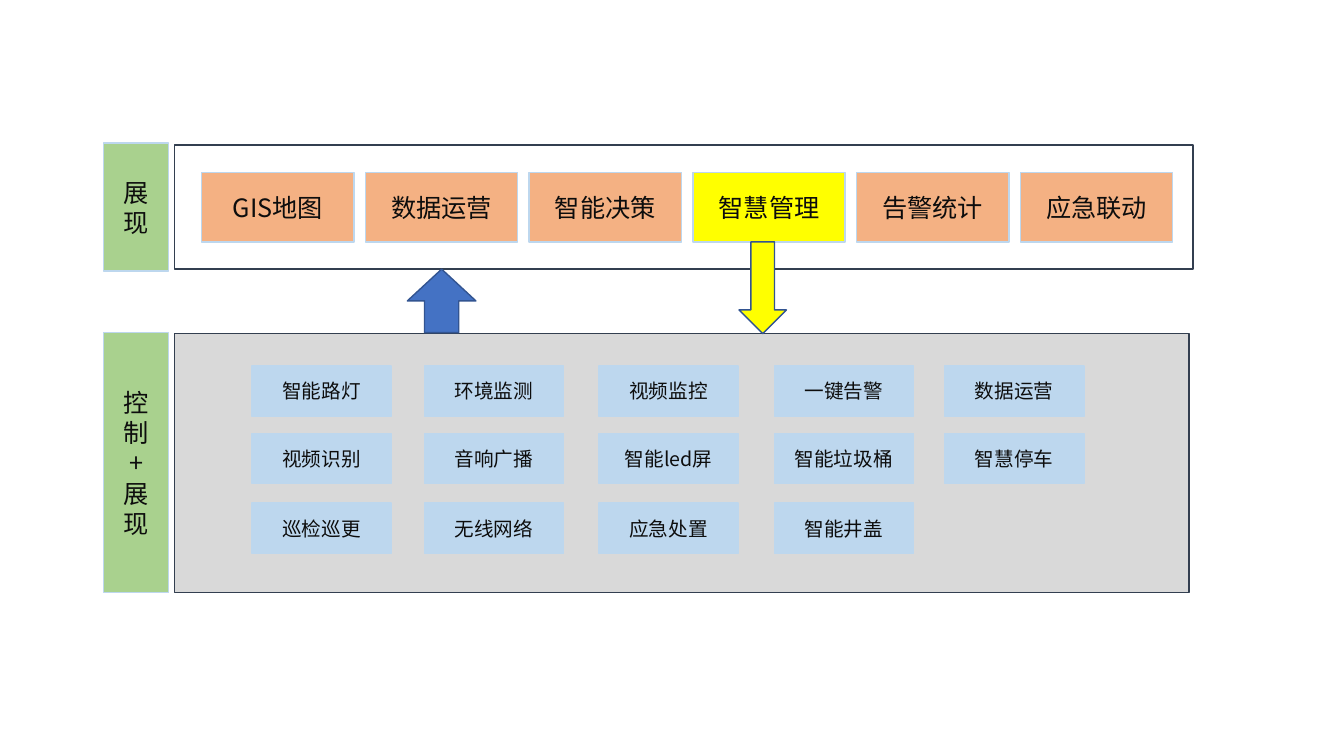
from pptx import Presentation
from pptx.dml.color import RGBColor
from pptx.enum.shapes import MSO_SHAPE
from pptx.enum.text import MSO_ANCHOR, PP_ALIGN
from pptx.oxml.ns import qn
from pptx.util import Inches, Pt
from lxml import etree

COLORS = {
    "white": "FFFFFF", "text": "0D0D0D", "frame": "333F50", "gray": "D9D9D9",
    "orange": "F4B183", "yellow": "FFFF00", "light_blue": "BDD7EE",
    "green": "A9D18E", "blue": "4472C4", "arrow_edge": "325491",
}


class Diagram:
    font = "Noto Sans CJK SC"

    def __init__(self, slide):
        self.slide = slide

    def shape(self, kind, box, fill, line, weight=1):
        shape = self.slide.shapes.add_shape(kind, *map(Inches, box))
        shape.shadow.inherit = False
        shape.fill.solid()
        shape.fill.fore_color.rgb = RGBColor.from_string(COLORS[fill])
        shape.line.color.rgb = RGBColor.from_string(COLORS[line])
        shape.line.width = Pt(weight)
        return shape

    def panel(self, box, fill):
        self.shape(MSO_SHAPE.RECTANGLE, box, fill, "frame", 1.25)

    def label(self, box, text, fill, size=18):
        frame = self.shape(MSO_SHAPE.RECTANGLE, box, fill, "light_blue").text_frame
        frame.word_wrap = True
        frame.vertical_anchor = MSO_ANCHOR.MIDDLE
        frame.text = text
        for paragraph in frame.paragraphs:
            paragraph.alignment = PP_ALIGN.CENTER
            for run in paragraph.runs:
                run.font.size = Pt(size)
                run.font.name = self.font
                run.font.color.rgb = RGBColor.from_string(COLORS["text"])
                east_asian = etree.SubElement(run.font._element, qn("a:ea"))
                east_asian.set("typeface", self.font)

    def arrow(self, box, fill, rotation=0):
        arrow = self.shape(MSO_SHAPE.DOWN_ARROW, box, fill, "arrow_edge")
        arrow.rotation = rotation


prs = Presentation()
prs.slide_width, prs.slide_height = Inches(13.33), Inches(7.5)
diagram = Diagram(prs.slides.add_slide(prs.slide_layouts[6]))

diagram.panel((1.73, 1.44, 10.1, 1.23), "white")
views = ["GIS地图", "数据运营", "智能决策", "智慧管理", "告警统计", "应急联动"]
for i, view in enumerate(views):
    fill = "yellow" if view == "智慧管理" else "orange"
    diagram.label((2 + i * 1.624, 1.71, 1.51, 0.69), view, fill)

diagram.panel((1.73, 3.31, 10.06, 2.57), "gray")
column_lefts = [2.5, 4.21, 5.94, 7.68, 9.37]
device_rows = {
    3.63: ["智能路灯", "环境监测", "视频监控", "一键告警", "数据运营"],
    4.3: ["视频识别", "音响广播", "智能led屏", "智能垃圾桶", "智慧停车"],
    4.99: ["巡检巡更", "无线网络", "应急处置", "智能井盖"],
}
for top, devices in device_rows.items():
    for left, device in zip(column_lefts, devices):
        diagram.label((left, top, 1.38, 0.5), device, "light_blue", 14)

diagram.arrow((7.33, 2.4, 0.47, 0.91), "yellow")
diagram.arrow((4.04, 2.67, 0.68, 0.63), "blue", 180)

diagram.label((1.03, 1.42, 0.64, 1.27), "展现", "green")
diagram.label((1.03, 3.3, 0.64, 2.58), "控制\n+\n展现", "green")

prs.save("out.pptx")
